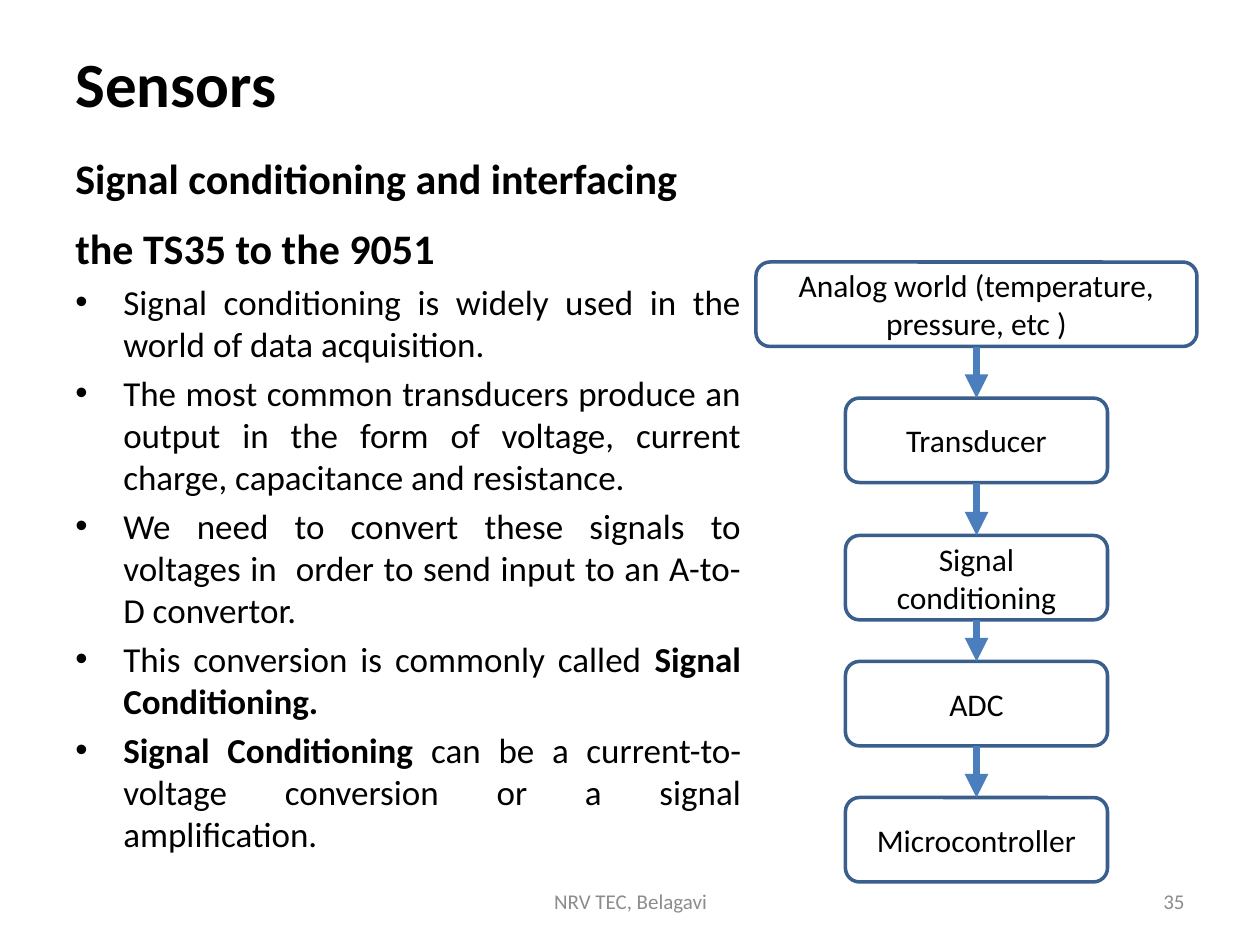
from dataclasses import dataclass

import lxml.etree
import pptx
import pptx.dml.color
import pptx.enum.shapes
import pptx.enum.text
import pptx.oxml.ns
import pptx.util

Inches = pptx.util.Inches
Pt = pptx.util.Pt
RGB = pptx.dml.color.RGBColor
Align = pptx.enum.text.PP_ALIGN
Anchor = pptx.enum.text.MSO_ANCHOR
qn = pptx.oxml.ns.qn


@dataclass(frozen=True)
class Theme:
    font: str = "Calibri"
    text: RGB = RGB(0x00, 0x00, 0x00)
    muted: RGB = RGB(0x8C, 0x8C, 0x8C)
    outline: RGB = RGB(0x3A, 0x5F, 0x8C)
    arrow: RGB = RGB(0x4B, 0x7E, 0xBC)
    title_size: int = 36
    heading_size: int = 24
    body_size: int = 20
    flow_size: int = 18
    footer_size: int = 12


theme = Theme()


def add_text_box(left, top, width, height, anchor):
    frame = slide.shapes.add_textbox(
        Inches(left), Inches(top), Inches(width), Inches(height)).text_frame
    frame.word_wrap = True
    frame.vertical_anchor = anchor
    return frame


def add_span(para, text, size, bold=False, color=theme.text):
    span = para.add_run()
    span.text = text
    span.font.name = theme.font
    span.font.size = Pt(size)
    span.font.bold = bold
    span.font.color.rgb = color


deck = pptx.Presentation()
deck.slide_width = Inches(10)
deck.slide_height = Inches(7.5)
slide = deck.slides.add_slide(deck.slide_layouts[6])

# Title
title = add_text_box(0.5, 0.3, 9, 0.7, Anchor.MIDDLE)
add_span(title.paragraphs[0], "Sensors", theme.title_size, bold=True)

# Heading and bullets; each bullet is a list of (text, bold) spans
bullets = [
    [("Signal conditioning is widely used in the world of data acquisition.", False)],
    [("The most common transducers produce an output in the form of voltage, "
      "current charge, capacitance and resistance.", False)],
    [("We need to convert these signals to voltages in  order to send input "
      "to an A-to-D convertor.", False)],
    [("This conversion is commonly called ", False), ("Signal Conditioning.", True)],
    [("Signal Conditioning ", True),
     ("can be a current-to-voltage conversion or a signal amplification.", False)],
]
body = add_text_box(0.5, 1, 5.48, 5.7, Anchor.TOP)
heading = body.paragraphs[0]
heading.line_spacing = 1.4
heading.space_before = Pt(0.2 * theme.heading_size)
add_span(heading, "Signal conditioning and interfacing the TS35 to the 9051",
         theme.heading_size, bold=True)

for spans in bullets:
    para = body.add_paragraph()
    para.alignment = Align.JUSTIFY
    para.space_before = Pt(0.2 * theme.body_size)
    properties = para._p.get_or_add_pPr()
    properties.set("marL", str(Inches(0.38)))
    properties.set("indent", str(-Inches(0.38)))
    lxml.etree.SubElement(properties, qn("a:buFont"), typeface="Arial")
    lxml.etree.SubElement(properties, qn("a:buChar"), char="•")
    for text, bold in spans:
        add_span(para, text, theme.body_size, bold)

# Footer and slide number
for text, left, width, align in [
    ("NRV TEC, Belagavi", 3.42, 3.17, Align.CENTER),
    ("35", 7.17, 2.33, Align.RIGHT),
]:
    para = add_text_box(left, 6.95, width, 0.4, Anchor.MIDDLE).paragraphs[0]
    para.alignment = align
    add_span(para, text, theme.footer_size, color=theme.muted)

# Signal chain: boxes centred on one axis
axis = 7.75
stages = []
for text, top, width in [
    ("Analog world (temperature, pressure, etc )", 2.08, 3.5),
    ("Transducer", 3.16, 2.08),
    ("Signal conditioning", 4.25, 2.08),
    ("ADC", 5.25, 2.08),
    ("Microcontroller", 6.33, 2.08),
]:
    stage = slide.shapes.add_shape(
        pptx.enum.shapes.MSO_SHAPE.ROUNDED_RECTANGLE,
        Inches(axis - width / 2), Inches(top), Inches(width), Inches(0.67))
    stage.shadow.inherit = False
    stage.fill.background()
    stage.line.color.rgb = theme.outline
    stage.line.width = Pt(2)
    stage.text_frame.word_wrap = True
    stage.text_frame.vertical_anchor = Anchor.MIDDLE
    para = stage.text_frame.paragraphs[0]
    para.alignment = Align.CENTER
    add_span(para, text, theme.flow_size)
    stages.append(stage)

# Arrows from the bottom of each stage to the top of the next
for upper, lower in zip(stages, stages[1:]):
    arrow = slide.shapes.add_connector(
        pptx.enum.shapes.MSO_CONNECTOR.STRAIGHT, 0, 0, 0, 0)
    arrow.begin_connect(upper, 2)
    arrow.end_connect(lower, 0)
    arrow.line.color.rgb = theme.arrow
    arrow.line.width = Pt(4.5)
    lxml.etree.SubElement(arrow.line._get_or_add_ln(), qn("a:tailEnd"), type="triangle")
    lxml.etree.SubElement(arrow._element.spPr, qn("a:effectLst"))

deck.save("out.pptx")
